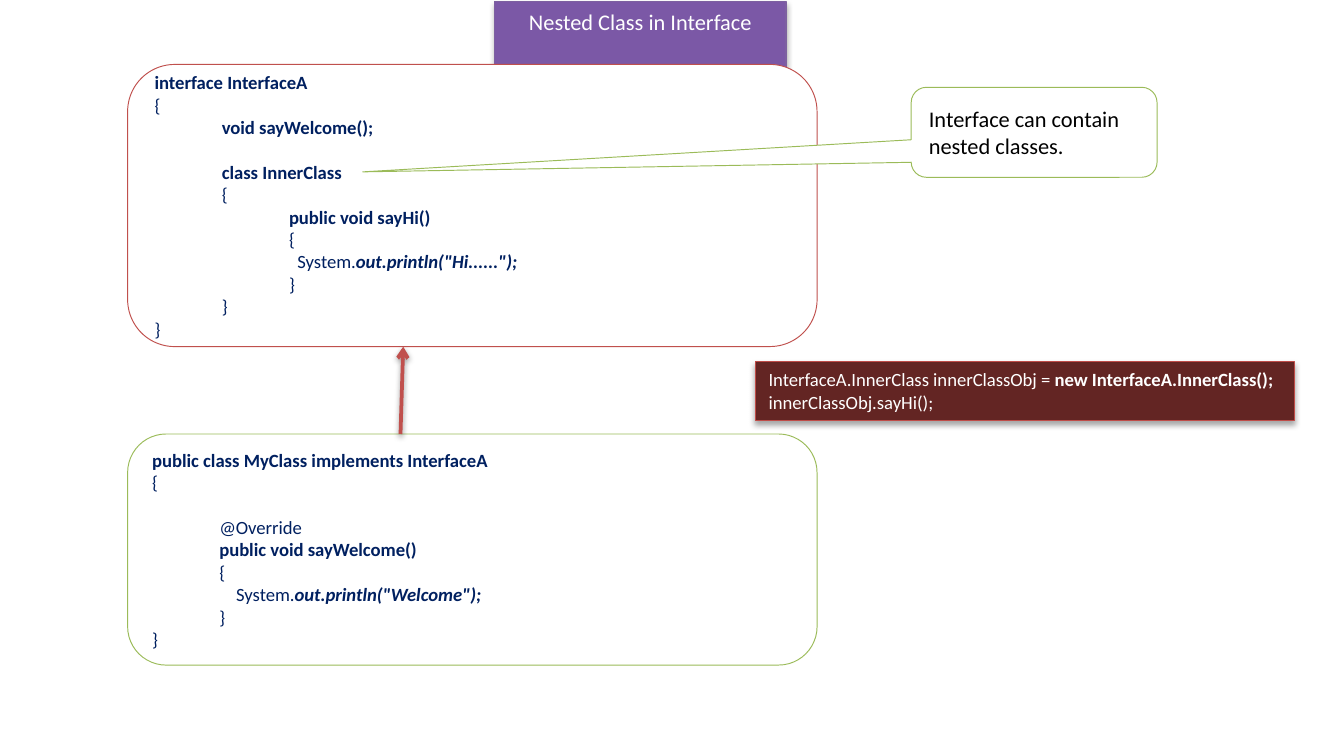
from copy import deepcopy
from lxml import etree
from pptx import Presentation, util as u
from pptx.dml.color import RGBColor
from pptx.enum import shapes, text
from pptx.oxml.ns import qn

COLORS = dict(white="FFFFFF", black="000000", navy="002060", red="C0504D",
              green="9BBB59", purple="7D60A0", maroon="632523", edge="BF4C48")
TITLE_STOPS = [(0, "5F4480"), (0.8, "7B58A6"), (1, "7C57A8")]

# Each line: indent level, runs of (text, style), lines skipped above it
INTERFACE_CODE = [
    (0, [("interface InterfaceA", "b")], 0),
    (0, [("{", "")], 0),
    (1, [("void sayWelcome();", "b")], 0),
    (1, [("class InnerClass", "b")], 1),
    (1, [("{", "")], 0),
    (2, [("public void sayHi()", "b")], 0),
    (2, [("{", "")], 0),
    (2, [("  System.", ""), ('out.println("Hi......");', "bi")], 0),
    (2, [("}", "")], 0),
    (1, [("}", "")], 0),
    (0, [("}", "")], 0),
]
CLASS_CODE = [
    (0, [("public class MyClass implements InterfaceA", "b")], 0),
    (0, [("{", "")], 0),
    (1, [("@Override", "")], 1),
    (1, [("public void sayWelcome()", "b")], 0),
    (1, [("{", "")], 0),
    (1, [("    System.", ""), ('out.println("Welcome");', "bi")], 0),
    (1, [("}", "")], 0),
    (0, [("}", "")], 0),
]
USAGE_CODE = [
    (0, [("InterfaceA.InnerClass innerClassObj = ", ""),
         ("new InterfaceA.InnerClass();", "b")], 0),
    (0, [("innerClassObj.sayHi();", "")], 0),
]
TITLE = [(0, [("Nested Class in Interface", "")], 0)]
NOTE = [(0, [("Interface can contain nested classes.", "")], 0)]


def rgb(name):
    return RGBColor.from_string(COLORS.get(name, name))


def add_text(sp, lines, size=10, color="navy", align=text.PP_ALIGN.LEFT,
             anchor=text.MSO_ANCHOR.MIDDLE, wrap=True, fit=text.MSO_AUTO_SIZE.NONE):
    tf = sp.text_frame
    tf.word_wrap, tf.auto_size, tf.vertical_anchor = wrap, fit, anchor
    for i, (level, runs, skipped) in enumerate(lines):
        p = tf.add_paragraph() if i else tf.paragraphs[0]
        p.level, p.alignment = level, align
        pPr = p._p.get_or_add_pPr()
        pPr.set("marL", str(u.Inches(0.5 * level)))
        pPr.set("indent", "0")
        if skipped:
            p.space_before = u.Pt(1.2 * size * skipped)
        for content, style in runs:
            r = p.add_run()
            r.text = content
            f = r.font
            f.name, f.size, f.color.rgb = "Calibri", u.Pt(size), rgb(color)
            f.bold, f.italic = "b" in style, "i" in style


def add_shadow(spPr, opacity, dist):
    effects = spPr.find(qn("a:effectLst"))
    if effects is None:
        effects = etree.SubElement(spPr, qn("a:effectLst"))
    shadow = etree.SubElement(effects, qn("a:outerShdw"), blurRad=str(u.Pt(3.1)),
                              dist=str(u.Pt(dist)), dir="5400000", rotWithShape="0")
    clr = etree.SubElement(shadow, qn("a:srgbClr"), val=COLORS["black"])
    etree.SubElement(clr, qn("a:alpha"), val=str(opacity * 1000))


def add_box(kind, at, fill, line, width=0.5):
    sp = s.shapes.add_shape(kind, *map(u.Inches, at))
    sp.shadow.inherit = False
    sp.fill.solid()
    sp.fill.fore_color.rgb = rgb(fill)
    sp.line.color.rgb, sp.line.width = rgb(line), u.Pt(width)
    return sp


prs = Presentation()
prs.slide_width, prs.slide_height = u.Inches(10), u.Inches(5.5)
s = prs.slides.add_slide(prs.slide_layouts[5])
SHAPE = shapes.MSO_SHAPE
GROW = text.MSO_AUTO_SIZE.SHAPE_TO_FIT_TEXT
TOP = text.MSO_ANCHOR.TOP

# Title banner
title = s.shapes.title
title.left, title.top, title.width, title.height = map(u.Inches, (3.68, 0.01, 2.17, 0.3))
title.fill.gradient()
title.fill.gradient_angle = 90
stops = title._element.spPr.find(".//" + qn("a:gsLst"))
stops.append(deepcopy(stops[-1]))
for stop, (position, color) in zip(title.fill.gradient_stops, TITLE_STOPS):
    stop.position, stop.color.rgb = position, rgb(color)
title.line.color.rgb, title.line.width = rgb("purple"), u.Pt(0.75)
add_shadow(title._element.spPr, 35, 1.8)
add_text(title, TITLE, size=12, color="white", align=text.PP_ALIGN.CENTER,
         anchor=TOP, fit=GROW)

# Interface and implementing class
for top, height, line, code in [(0.48, 2.1, "red", INTERFACE_CODE),
                                (3.23, 1.72, "green", CLASS_CODE)]:
    box = add_box(SHAPE.ROUNDED_RECTANGLE, (0.95, top, 5.13, height), "white", line)
    add_text(box, code)

# Arrow from class up to interface
arrow = s.shapes.add_connector(shapes.MSO_CONNECTOR.STRAIGHT,
                               *map(u.Inches, (2.98, 3.23, 3, 2.58)))
arrow.line.color.rgb, arrow.line.width = rgb("red"), u.Pt(2)
etree.SubElement(arrow.line._get_or_add_ln(), qn("a:tailEnd"), type="arrow")
add_shadow(arrow._element.spPr, 38, 1.6)

# Usage example
usage = add_box(SHAPE.RECTANGLE, (5.62, 2.69, 4.01, 0.44), "maroon", "edge", 0.75)
add_shadow(usage._element.spPr, 35, 1.8)
add_text(usage, USAGE_CODE, color="white", anchor=TOP, wrap=False, fit=GROW)

# Callout pointing at the inner class
note = add_box(SHAPE.ROUNDED_RECTANGULAR_CALLOUT, (6.78, 0.65, 1.83, 0.67),
               "white", "green")
for i, value in enumerate((-2.73, 0.44, 0.17)):
    note.adjustments[i] = value
add_text(note, NOTE, size=12, color="black")

prs.save("out.pptx")
